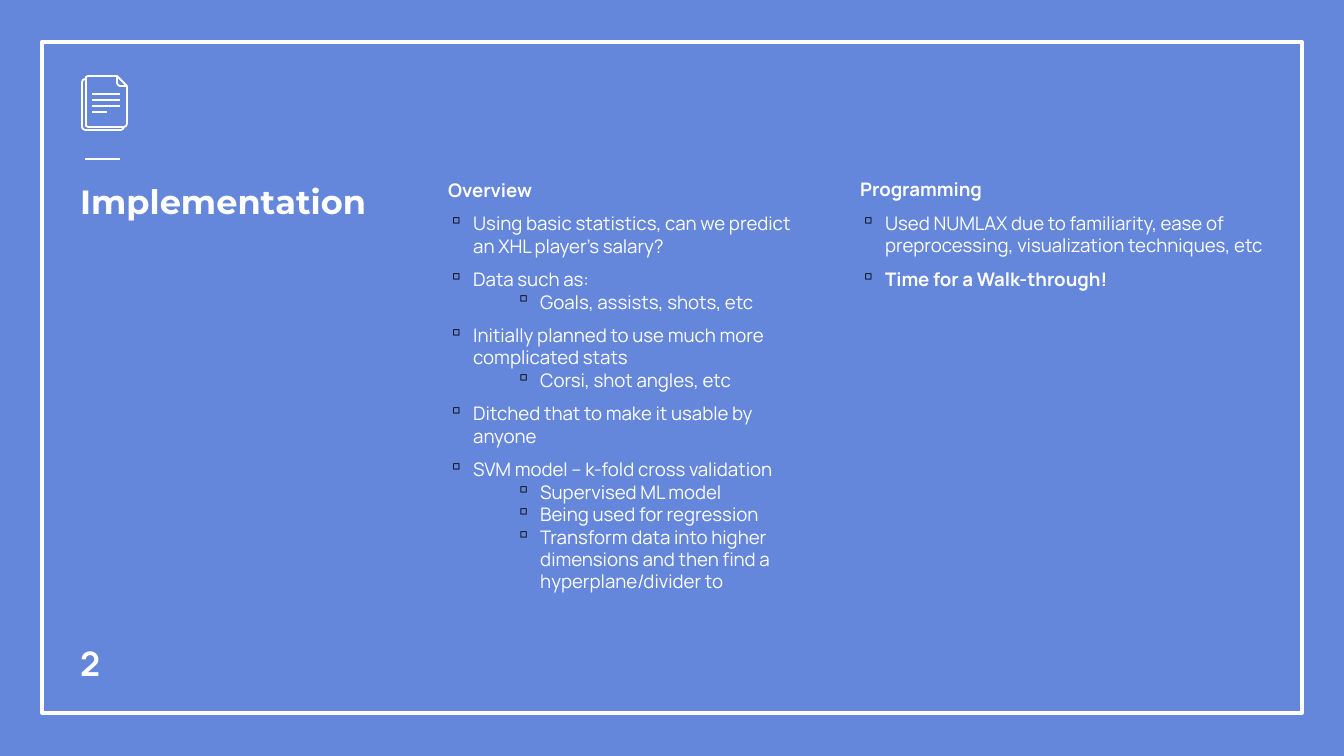
from dataclasses import dataclass

from lxml.etree import SubElement
from pptx import Presentation
from pptx.dml.color import RGBColor
from pptx.enum.shapes import MSO_CONNECTOR, MSO_SHAPE
from pptx.enum.text import MSO_ANCHOR
from pptx.oxml.ns import qn
from pptx.slide import Slide
from pptx.text.text import TextFrame
from pptx.util import Emu, Pt

PX = 914400 / 134.4
BLUE = RGBColor(0x64, 0x86, 0xDB)
WHITE = RGBColor(0xFF, 0xFF, 0xFF)
BLACK = RGBColor(0x00, 0x00, 0x00)
HEADING_FONT = "Montserrat"
BODY_FONT = "Manrope"
ICON_LINE = 0.96
HANGING = 25
LEVEL_STEP = 67


def px(length: int) -> Emu:
    return Emu(round(length * PX))


@dataclass(frozen=True)
class Area:
    left: int
    top: int
    width: int
    height: int


@dataclass(frozen=True)
class Bullet:
    text: str
    level: int = 0
    bold: bool = False


@dataclass(frozen=True)
class Column:
    area: Area
    heading: str
    bullets: tuple[Bullet, ...]


@dataclass(frozen=True)
class Rule:
    left: int
    right: int
    y: int
    weight: float = ICON_LINE


@dataclass(frozen=True)
class Outline:
    points: tuple[tuple[int, int], ...]
    closed: bool = False


COLUMNS = (
    Column(Area(435, 165, 386, 415), "Overview", (
        Bullet("Using basic statistics, can we predict an XHL player’s salary?"),
        Bullet("Data such as:"),
        Bullet("Goals, assists, shots, etc", level=1),
        Bullet("Initially planned to use much more complicated stats"),
        Bullet("Corsi, shot angles, etc", level=1),
        Bullet("Ditched that to make it usable by anyone"),
        Bullet("SVM model – k-fold cross validation"),
        Bullet("Supervised ML model", level=1),
        Bullet("Being used for regression", level=1),
        Bullet("Transform data into higher dimensions and then find a "
               "hyperplane/divider to", level=1),
    )),
    Column(Area(847, 165, 430, 496), "Programming", (
        Bullet("Used NUMLAX due to familiarity, ease of preprocessing, "
               "visualization techniques, etc"),
        Bullet("Time for a Walk-through!", bold=True),
    )),
)

TITLE_RULE = Rule(85, 120, 159, weight=0.75)
ICON_RULES = (
    Rule(92, 120, 94),
    Rule(92, 120, 100),
    Rule(92, 120, 106),
    Rule(92, 107, 112),
)
ICON_OUTLINES = (
    Outline(((124, 127), (123, 129), (121, 130), (85, 130), (83, 129),
             (82, 127), (82, 82), (83, 80), (85, 79))),
    Outline(((127, 86), (127, 124), (126, 126), (124, 127), (88, 127),
             (86, 126), (86, 124), (86, 79), (86, 77), (88, 76), (117, 76))),
    Outline(((117, 83), (117, 76), (127, 86), (120, 86), (118, 85)),
            closed=True),
)


def add_frame(page: Slide, area: Area) -> None:
    frame = page.shapes.add_shape(
        MSO_SHAPE.RECTANGLE, px(area.left), px(area.top),
        px(area.width), px(area.height))
    frame.shadow.inherit = False
    frame.fill.background()
    frame.line.color.rgb = WHITE
    frame.line.width = Pt(2.25)


def add_rule(page: Slide, rule: Rule) -> None:
    line = page.shapes.add_connector(
        MSO_CONNECTOR.STRAIGHT, px(rule.left), px(rule.y),
        px(rule.right), px(rule.y))
    line.line.color.rgb = WHITE
    line.line.width = Pt(rule.weight)
    SubElement(line._element.spPr, qn("a:effectLst"))


def add_outline(page: Slide, outline: Outline) -> None:
    first, *rest = outline.points
    builder = page.shapes.build_freeform(*first, scale=PX)
    builder.add_line_segments(rest, close=outline.closed)
    shape = builder.convert_to_shape()
    shape.shadow.inherit = False
    shape.fill.background()
    shape.line.color.rgb = WHITE
    shape.line.width = Pt(ICON_LINE)


def add_text_box(page: Slide, area: Area,
                 anchor: MSO_ANCHOR = MSO_ANCHOR.TOP) -> TextFrame:
    box = page.shapes.add_textbox(
        px(area.left), px(area.top), px(area.width), px(area.height))
    frame = box.text_frame
    frame.word_wrap = True
    frame.vertical_anchor = anchor
    frame.margin_left = frame.margin_right = Pt(7.2)
    frame.margin_top = frame.margin_bottom = Pt(7.2)
    return frame


def write(para, text: str, *, size: int, font: str = BODY_FONT,
          bold: bool = True) -> None:
    span = para.add_run()
    span.text = text
    span.font.name = font
    span.font.size = Pt(size)
    span.font.bold = bold
    span.font.color.rgb = WHITE


def set_bullet(para, level: int) -> None:
    para.level = level
    properties = para._p.get_or_add_pPr()
    properties.set("marL", str(px(HANGING + level * LEVEL_STEP)))
    properties.set("indent", str(px(-HANGING)))
    color = SubElement(properties, qn("a:buClr"))
    SubElement(color, qn("a:srgbClr"), val=str(BLACK))
    SubElement(properties, qn("a:buChar"), char="▫")


def add_column(page: Slide, column: Column) -> None:
    frame = add_text_box(page, column.area)
    heading = frame.paragraphs[0]
    heading.line_spacing = Pt(12)
    heading.space_before = Pt(6)
    write(heading, column.heading, size=10)
    for bullet in column.bullets:
        para = frame.add_paragraph()
        para.line_spacing = Pt(12)
        para.space_before = Pt(0 if bullet.level else 6)
        set_bullet(para, bullet.level)
        write(para, bullet.text, size=10, bold=bullet.bold)


def main() -> None:
    deck = Presentation()
    deck.slide_width, deck.slide_height = px(1344), px(756)
    page = deck.slides.add_slide(deck.slide_layouts[6])
    page.background.fill.solid()
    page.background.fill.fore_color.rgb = BLUE

    add_frame(page, Area(42, 42, 1260, 671))
    add_rule(page, TITLE_RULE)
    title = add_text_box(page, Area(67, 168, 317, 120))
    write(title.paragraphs[0], "Implementation", size=18, font=HEADING_FONT)
    for column in COLUMNS:
        add_column(page, column)
    number = add_text_box(page, Area(67, 616, 81, 81), MSO_ANCHOR.BOTTOM)
    write(number.paragraphs[0], "2", size=18)
    for outline in ICON_OUTLINES:
        add_outline(page, outline)
    for rule in ICON_RULES:
        add_rule(page, rule)
    deck.save("out.pptx")


if __name__ == "__main__":
    main()
